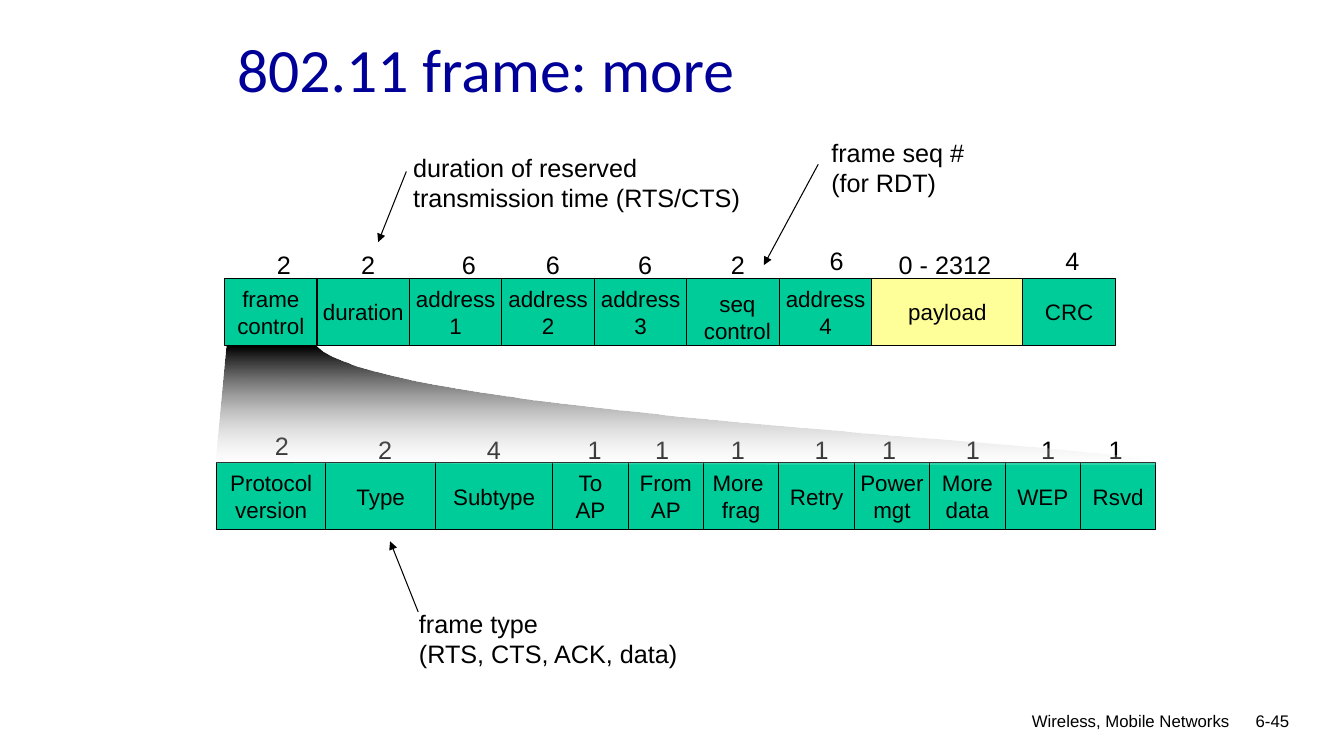
"""Build the slide that explains the fields of an 802.11 frame."""

import dataclasses
import typing

import lxml.etree
import pptx
import pptx.dml.color
import pptx.enum.dml
import pptx.enum.shapes
import pptx.enum.text
import pptx.oxml.ns
import pptx.util

Cm = pptx.util.Cm
Pt = pptx.util.Pt
Align = pptx.enum.text.PP_ALIGN
Anchor = pptx.enum.text.MSO_ANCHOR
AutoSize = pptx.enum.text.MSO_AUTO_SIZE
Color = pptx.dml.color.RGBColor
qn = pptx.oxml.ns.qn
Point = tuple[float, float]


@dataclasses.dataclass(frozen=True)
class Theme:
    ink: Color = Color.from_string("000000")
    title: Color = Color.from_string("000099")
    header: Color = Color.from_string("00CC99")
    payload: Color = Color.from_string("FFFF99")
    fade: Color = Color.from_string("FFFFFF")
    fade_alpha: int = 18000
    title_font: str = "Calibri"
    body_font: str = "Arial"
    title_size: int = 44
    note_size: int = 18
    field_size: int = 16
    footer_size: int = 12
    line_width: float = 0.75


THEME = Theme()


@dataclasses.dataclass(frozen=True)
class Field:
    name: str
    width: float
    length: str
    length_left: float
    length_lift: float = 0
    fill: Color = THEME.header


@dataclasses.dataclass(frozen=True)
class Row:
    left: float
    top: float
    length_top: float
    fields: tuple[Field, ...]


@dataclasses.dataclass(frozen=True)
class Note:
    text: str
    left: float
    top: float
    width: float
    height: float
    size: int = THEME.note_size
    align: Align = Align.LEFT
    wrap: bool = False


@dataclasses.dataclass(frozen=True)
class Arrow:
    start: Point
    end: Point


ROW_HEIGHT = 1.69
WIDE = 2.33
FLAG = 1.9

FRAME = Row(5.66, 7.01, 6.17, (
    Field("frame\ncontrol", WIDE, "2", 6.73),
    Field("duration", WIDE, "2", 8.85),
    Field("address\n1", WIDE, "6", 11.39),
    Field("address\n2", WIDE, "6", 13.51),
    Field("address\n3", WIDE, "6", 15.83),
    Field("", WIDE, "2", 18.17),
    Field("address\n4", WIDE, "6", 20.66, 0.12),
    Field("payload", 3.81, "0 - 2312", 22.4, 0, THEME.payload),
    Field("CRC", WIDE, "4", 26.6, 0.12),
))
CONTROL = Row(5.46, 11.66, 10.82, (
    Field("Protocol\nversion", 2.75, "2", 6.68, 0.1),
    Field("Type", 2.77, "2", 9.28),
    Field("Subtype", 2.95, "4", 12.02),
    Field("To\nAP", FLAG, "1", 14.56),
    Field("From\nAP", FLAG, "1", 16.26),
    Field("More \nfrag", FLAG, "1", 18.17),
    Field("Retry", FLAG, "1", 20.28),
    Field("Power\nmgt", FLAG, "1", 21.98),
    Field("More\ndata", FLAG, "1", 24.09),
    Field("WEP", FLAG, "1", 25.99),
    Field("Rsvd", FLAG, "1", 27.69),
))
SEQUENCE_CONTROL = Note("seq\ncontrol", 17.48, 7.19, 2.21, 1.63, THEME.field_size, Align.CENTER)
NOTES = (
    Note("duration of reserved\ntransmission time (RTS/CTS)", 10.16, 3.71, 8.84, 1.8),
    Note("frame seq #\n(for RDT)", 20.7, 3.33, 3.89, 1.8),
    Note("frame type\n(RTS, CTS, ACK, data)", 10.31, 15.21, 7.16, 1.78),
    Note("Wireless, Mobile Networks", 16.94, 17.78, 14.3, 0.89,
         THEME.footer_size, Align.RIGHT, True),
    Note("6-45", 30.23, 17.78, 2.51, 1.27, THEME.footer_size, Align.RIGHT, True),
)
ARROWS = (
    Arrow((10.24, 4.32), (9.53, 6.1)),
    Arrow((20.62, 4.14), (19.25, 6.68)),
    Arrow((10.54, 15.42), (9.83, 13.64)),
)
FUNNEL_LEFT_SIDE = ((5.72, 8.74), (5.44, 11.66))
FUNNEL_CURVE = ((29.21, 11.71), (29.64, 11.2), (9.73, 10.54), (8.0, 8.74))


def set_text(shape: typing.Any, text: str, size: int, align: Align,
             color: Color = THEME.ink, font: str = THEME.body_font) -> None:
    """Fill a shape with formatted text."""
    shape.text_frame.text = text
    for paragraph in shape.text_frame.paragraphs:
        paragraph.alignment = align
        for run in paragraph.runs:
            run.font.size = Pt(size)
            run.font.name = font
            run.font.color.rgb = color


def add_note(slide: typing.Any, note: Note) -> None:
    """Add a free-standing text box."""
    box = slide.shapes.add_textbox(Cm(note.left), Cm(note.top), Cm(note.width), Cm(note.height))
    set_text(box, note.text, note.size, note.align)
    box.text_frame.word_wrap = note.wrap


def add_row(slide: typing.Any, row: Row) -> None:
    """Draw adjoining fields with their lengths above."""
    left = row.left
    for field in row.fields:
        cell = slide.shapes.add_shape(
            pptx.enum.shapes.MSO_SHAPE.RECTANGLE,
            Cm(left), Cm(row.top), Cm(field.width), Cm(ROW_HEIGHT))
        cell.shadow.inherit = False
        cell.fill.solid()
        cell.fill.fore_color.rgb = field.fill
        cell.line.color.rgb = THEME.ink
        cell.line.width = Pt(THEME.line_width)
        set_text(cell, field.name, THEME.field_size, Align.CENTER)
        cell.text_frame.word_wrap = False
        cell.text_frame.vertical_anchor = Anchor.MIDDLE
        left += field.width
    for field in row.fields:
        width = 2.84 if len(field.length) > 1 else 0.86
        add_note(slide, Note(field.length, field.length_left,
                             row.length_top - field.length_lift, width, 1.02))


def curve_point(controls: tuple[Point, ...], t: float) -> Point:
    """Return the point at t on a cubic curve."""
    weights = ((1 - t) ** 3, 3 * t * (1 - t) ** 2, 3 * t ** 2 * (1 - t), t ** 3)
    x, y = (sum(w * c[axis] for w, c in zip(weights, controls)) for axis in (0, 1))
    return x, y


def add_funnel(slide: typing.Any, steps: int = 40) -> None:
    """Draw the fading outline that widens from frame control to its bits."""
    curve = [curve_point(FUNNEL_CURVE, step / steps) for step in range(steps + 1)]
    start, *rest = [(Cm(x), Cm(y)) for x, y in (*FUNNEL_LEFT_SIDE, *curve)]
    builder = slide.shapes.build_freeform(*start)
    builder.add_line_segments(rest, close=True)
    funnel = builder.convert_to_shape()
    funnel.shadow.inherit = False
    funnel.line.fill.background()
    funnel.fill.gradient()
    funnel.fill.gradient_angle = 270
    for stop, color in zip(funnel.fill.gradient_stops, (THEME.ink, THEME.fade)):
        stop.color.rgb = color
    last_color = list(funnel._element.spPr.iter(qn("a:srgbClr")))[-1]
    lxml.etree.SubElement(last_color, qn("a:alpha"), val=str(THEME.fade_alpha))


def add_arrow(slide: typing.Any, arrow: Arrow) -> None:
    """Draw a straight line with an arrowhead at its end."""
    connector = slide.shapes.add_connector(
        pptx.enum.shapes.MSO_CONNECTOR.STRAIGHT,
        *(Cm(value) for value in (*arrow.start, *arrow.end)))
    connector.line.color.rgb = THEME.ink
    connector.line.width = Pt(THEME.line_width)
    lxml.etree.SubElement(connector.line._get_or_add_ln(), qn("a:tailEnd"), type="triangle")
    lxml.etree.SubElement(connector._element.spPr, qn("a:effectLst"))


def add_title(slide: typing.Any, text: str) -> None:
    """Place and format the title placeholder."""
    title = slide.shapes.title
    title.left, title.top, title.width, title.height = Cm(5.72), Cm(0.64), Cm(21.59), Cm(3.18)
    set_text(title, text, THEME.title_size, Align.LEFT, THEME.title, THEME.title_font)
    title.text_frame.auto_size = AutoSize.NONE
    title.text_frame.vertical_anchor = Anchor.TOP


def main() -> None:
    """Build and save the presentation."""
    presentation = pptx.Presentation()
    presentation.slide_width, presentation.slide_height = Cm(33.87), Cm(19.05)
    slide = presentation.slides.add_slide(presentation.slide_layouts.get_by_name("Title Only"))
    add_title(slide, "802.11 frame: more")
    add_row(slide, FRAME)
    add_note(slide, SEQUENCE_CONTROL)
    add_row(slide, CONTROL)
    add_funnel(slide)
    for note in NOTES:
        add_note(slide, note)
    for arrow in ARROWS:
        add_arrow(slide, arrow)
    presentation.save("out.pptx")


if __name__ == "__main__":
    main()
